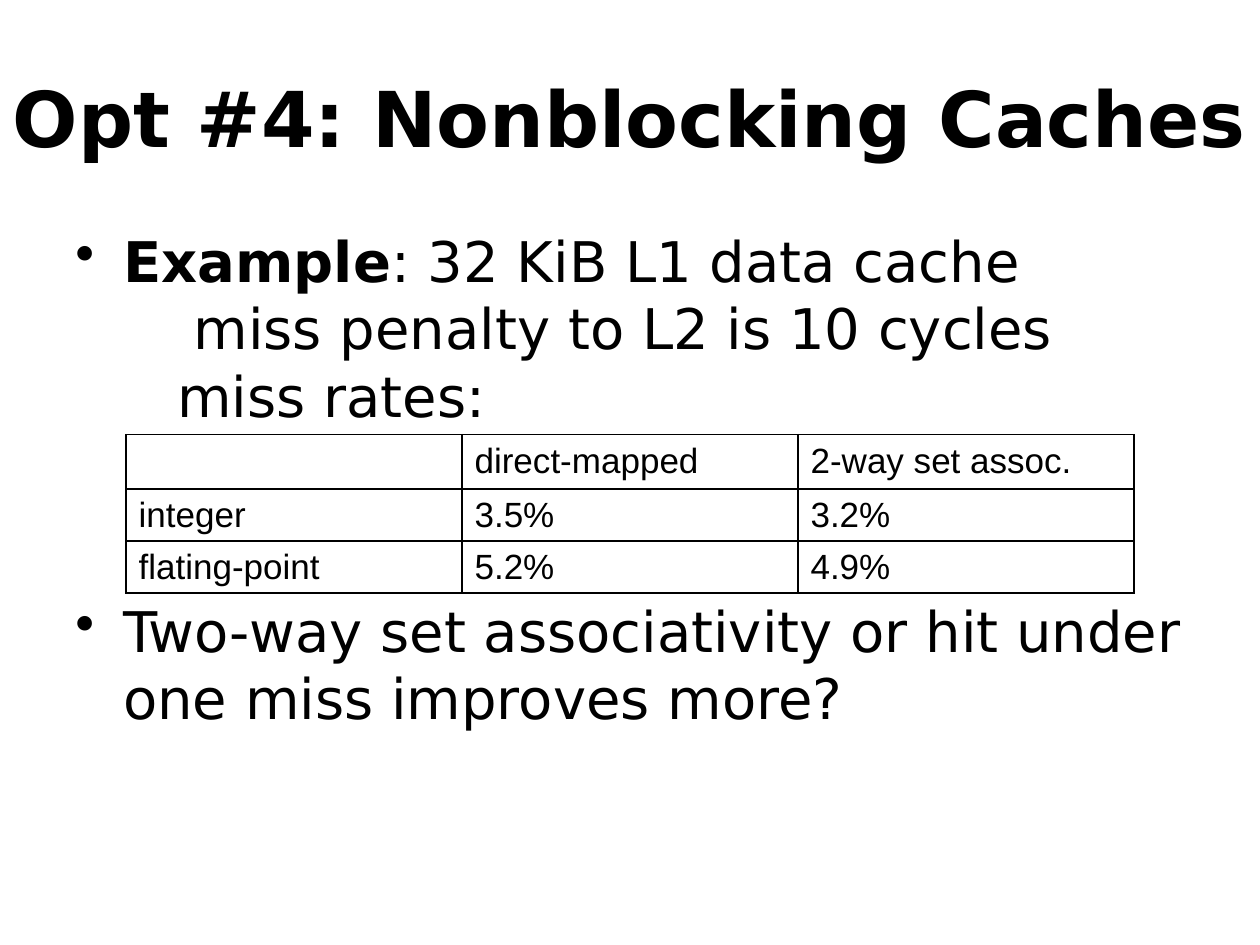
"""Build a slide on nonblocking caches with a table of miss rates."""
import pptx
import pptx.dml.color
import pptx.enum.text
import pptx.oxml
import pptx.oxml.ns
import pptx.util

Inches = pptx.util.Inches
Pt = pptx.util.Pt
BLACK = pptx.dml.color.RGBColor(0, 0, 0)
WHITE = pptx.dml.color.RGBColor(255, 255, 255)
HEADING_FONT = "DejaVu Sans"
TABLE_FONT = "Arial"
WIDTH, HEIGHT = Inches(10), Inches(7.5)
HANGING = 0.38
MISS_RATES = [
    ["", "direct-mapped", "2-way set assoc."],
    ["integer", "3.5%", "3.2%"],
    ["flating-point", "5.2%", "4.9%"],
]
ROW_HEIGHTS = [0.43, 0.41, 0.41]


def format_font(font, name, size, bold=False):
    """Set the typeface, size, weight and colour of a font."""
    font.name = name
    font.size = Pt(size)
    font.bold = bold
    font.color.rgb = BLACK


def add_text_box(slide, left, top, width, height):
    """Add a wrapping text box and return its text frame."""
    frame = slide.shapes.add_textbox(left, top, width, height).text_frame
    frame.word_wrap = True
    return frame


def add_title(slide, text):
    """Add the bold title across the full width of the slide."""
    frame = add_text_box(slide, 0, int(HEIGHT * 0.04), WIDTH, Inches(1.25))
    frame.margin_left = frame.margin_right = 0
    frame.vertical_anchor = pptx.enum.text.MSO_ANCHOR.MIDDLE
    paragraph = frame.paragraphs[0]
    paragraph.text = text
    paragraph.alignment = pptx.enum.text.PP_ALIGN.CENTER
    format_font(paragraph.runs[0].font, HEADING_FONT, 44, bold=True)


def add_body_line(paragraph, parts, indent=HANGING, bullet=False, space=0):
    """Fill a paragraph from (text, bold) parts, with an optional bullet."""
    properties = paragraph._p.get_or_add_pPr()
    properties.set("marL", str(Inches(indent)))
    properties.set("indent", str(-Inches(HANGING) if bullet else 0))
    paragraph.space_before = Pt(space)
    tag = '<a:buChar char="•"' if bullet else "<a:buNone"
    properties.append(pptx.oxml.parse_xml(f'{tag} {pptx.oxml.ns.nsdecls("a")}/>'))
    for text, bold in parts:
        run = paragraph.add_run()
        run.text = text
        format_font(run.font, HEADING_FONT, 32, bold)


def add_body(slide):
    """Add the example and the question, leaving room for the table."""
    frame = add_text_box(slide, int(WIDTH * 0.05), Inches(1.75), int(WIDTH * 0.95), Inches(5.75))
    example = [("Example", True), (": 32 KiB L1 data cache", False)]
    question = "Two-way set associativity or hit under one miss improves more?"
    add_body_line(frame.paragraphs[0], example, bullet=True)
    add_body_line(frame.add_paragraph(), [("miss penalty to L2 is 10 cycles", False)], indent=0.94)
    add_body_line(frame.add_paragraph(), [("miss rates:", False)], indent=0.81)
    add_body_line(frame.add_paragraph(), [(question, False)], bullet=True, space=96)


def add_borders(cell):
    """Draw a thin black line on every side of a cell."""
    properties = cell._tc.get_or_add_tcPr()
    for position, side in enumerate(("lnL", "lnR", "lnT", "lnB")):
        line = pptx.oxml.parse_xml(
            f'<a:{side} {pptx.oxml.ns.nsdecls("a")} w="{Pt(1)}">'
            f'<a:solidFill><a:srgbClr val="{BLACK}"/></a:solidFill></a:{side}>'
        )
        properties.insert(position, line)


def format_cell(cell, text):
    """Write the text of a cell and set its look."""
    cell.text = text
    cell.margin_top = cell.margin_bottom = Inches(0.04)
    cell.vertical_anchor = pptx.enum.text.MSO_ANCHOR.MIDDLE
    cell.fill.solid()
    cell.fill.fore_color.rgb = WHITE
    for run in cell.text_frame.paragraphs[0].runs:
        format_font(run.font, TABLE_FONT, 20)
    add_borders(cell)


def add_miss_rates(slide):
    """Add the table of miss rates with equal columns."""
    shape = slide.shapes.add_table(
        len(MISS_RATES), len(MISS_RATES[0]),
        int(WIDTH * 0.1), Inches(3.45), int(WIDTH * 0.8), Inches(sum(ROW_HEIGHTS)),
    )
    table = shape.table
    table.first_row = table.horz_banding = False
    for row, height, texts in zip(table.rows, ROW_HEIGHTS, MISS_RATES):
        row.height = Inches(height)
        for cell, text in zip(row.cells, texts):
            format_cell(cell, text)


def main():
    """Build and save the presentation."""
    presentation = pptx.Presentation()
    presentation.slide_width, presentation.slide_height = WIDTH, HEIGHT
    slide = presentation.slides.add_slide(presentation.slide_layouts[6])
    add_title(slide, "Opt #4: Nonblocking Caches")
    add_body(slide)
    add_miss_rates(slide)
    presentation.save("out.pptx")


if __name__ == "__main__":
    main()
